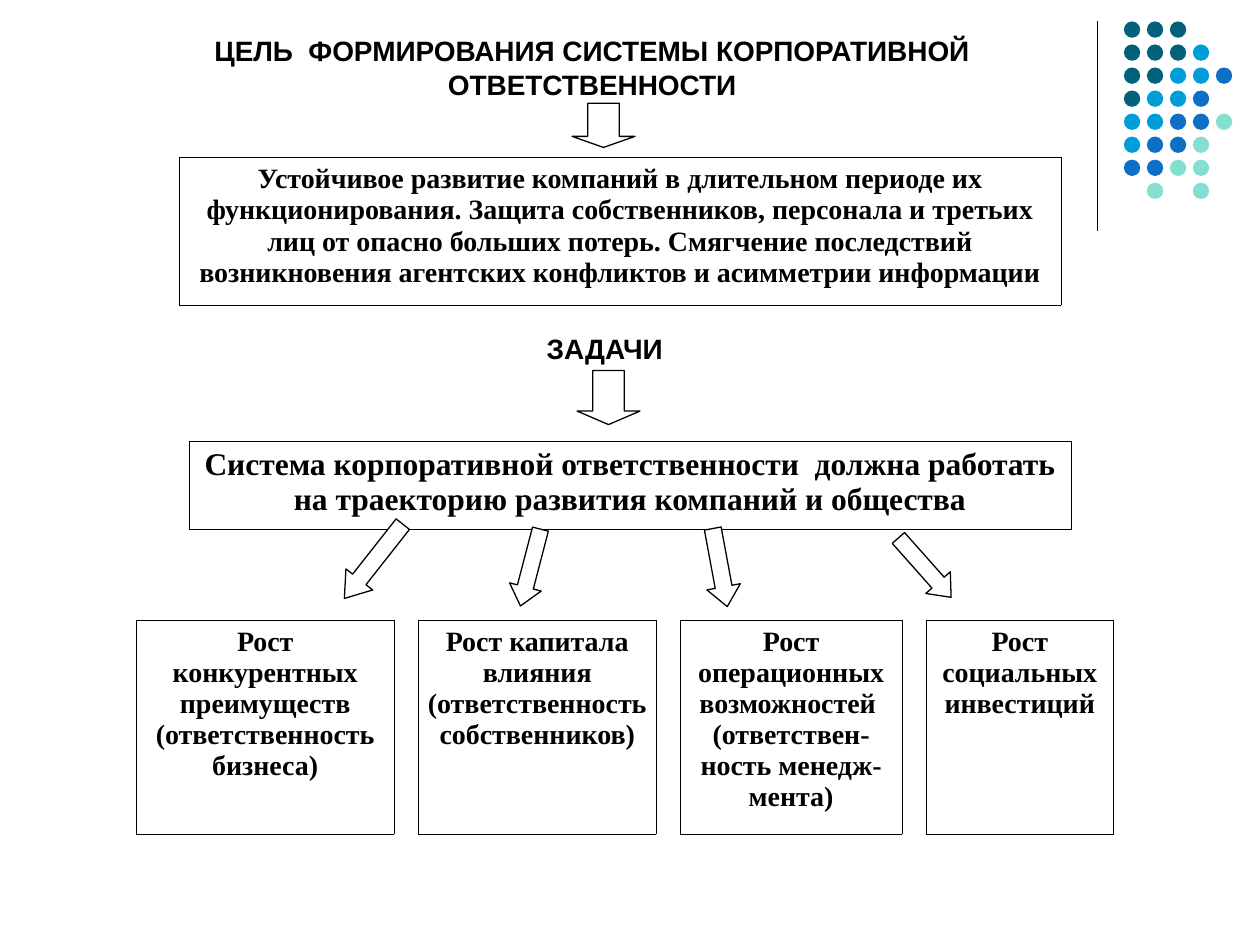
from dataclasses import dataclass

from lxml import etree
from pptx import Presentation
from pptx.dml.color import RGBColor
from pptx.enum import shapes, text
from pptx.oxml.ns import qn
from pptx.util import Inches, Pt


@dataclass(frozen=True)
class Theme:
    ink: str = "000000"
    paper: str = "FFFFFF"
    dots: tuple = ("04617B", "009DD9", "0F6FC6", "85DFD0")
    heading_font: str = "Arial"
    body_font: str = "Times New Roman"
    body: float = 16
    lead: float = 18
    line: float = 0.75
    border: float = 0.45


THEME = Theme()

# Each digit is an index into Theme.dots; a blank leaves the place empty.
DOT_ROWS = ("000", "0001", "00112", "0112", "11223", "1223", "2233", " 3 3")

GOAL = ("Устойчивое развитие компаний в длительном периоде их функционирования. "
        "Защита собственников, персонала и третьих лиц от опасно больших потерь. "
        "Смягчение последствий возникновения агентских конфликтов и асимметрии информации")
SYSTEM = ("Система корпоративной ответственности  должна работать "
          "на траекторию развития компаний и общества")
TASKS = (
    ("Рост конкурентных преимуществ (ответственность бизнеса)", 2.05),
    ("Рост капитала влияния (ответственность собственников)", 1.89),
    ("Рост операционных возможностей  (ответствен-ность менедж-мента)", 1.76),
    ("Рост социальных инвестиций", 1.49),
)
TASK_GAP = 0.19

# Box, rotation in degrees, head length relative to the arrow's width
ARROWS = (
    ((4.54, 0.82, 0.5, 0.35), 0, 0.25),
    ((4.58, 2.94, 0.5, 0.43), 0, 0.25),
    ((2.83, 4.08, 0.27, 0.75), 38.2, 0.71),
    ((4.08, 4.19, 0.26, 0.63), 14.6, 0.6),
    ((5.58, 4.19, 0.27, 0.63), 349.5, 0.59),
    ((7.21, 4.19, 0.26, 0.63), 318.4, 0.6),
)


def rgb(value):
    return RGBColor.from_string(value)


def inches(box):
    return [Inches(v) for v in box]


def style_paragraph(p, font, size, align):
    p.alignment = align
    p.font.name = font
    p.font.size = Pt(size)
    p.font.bold = True
    p.font.color.rgb = rgb(THEME.ink)


def add_dots(slide, box):
    """Fill the box with the corner grid of coloured dots."""
    left, top, width, height = box
    size = 0.13
    step_x = (width - size) / (max(map(len, DOT_ROWS)) - 1)
    step_y = (height - size) / (len(DOT_ROWS) - 1)
    for row, marks in enumerate(DOT_ROWS):
        for col, mark in enumerate(marks):
            if mark == " ":
                continue
            place = (left + col * step_x, top + row * step_y, size, size)
            sp = slide.shapes.add_shape(shapes.MSO_SHAPE.OVAL, *inches(place))
            sp.shadow.inherit = False
            sp.fill.solid()
            sp.fill.fore_color.rgb = rgb(THEME.dots[int(mark)])
            sp.line.fill.background()


def add_rule(slide, x, top, bottom):
    line = slide.shapes.add_connector(
        shapes.MSO_CONNECTOR.STRAIGHT, *inches((x, top, x, bottom)))
    line.line.color.rgb = rgb(THEME.ink)
    line.line.width = Pt(THEME.line)
    etree.SubElement(line._element.spPr, qn("a:effectLst"))


def fill_heading(sp, box, words):
    sp.left, sp.top, sp.width, sp.height = inches(box)
    tf = sp.text_frame
    tf.word_wrap = True
    tf.auto_size = text.MSO_AUTO_SIZE.NONE
    tf.vertical_anchor = text.MSO_ANCHOR.MIDDLE
    tf.text = words
    style_paragraph(tf.paragraphs[0], THEME.heading_font, THEME.body, text.PP_ALIGN.CENTER)


def add_arrow(slide, box, rotation, head):
    sp = slide.shapes.add_shape(shapes.MSO_SHAPE.DOWN_ARROW, *inches(box))
    sp.shadow.inherit = False
    sp.adjustments[0] = 0.5
    sp.adjustments[1] = head
    sp.rotation = rotation
    sp.fill.solid()
    sp.fill.fore_color.rgb = rgb(THEME.paper)
    sp.line.color.rgb = rgb(THEME.ink)
    sp.line.width = Pt(THEME.line)


def draw_borders(cell, sides):
    tc_pr = cell._tc.get_or_add_tcPr()
    for side in sides:
        ln = etree.SubElement(tc_pr, qn(f"a:ln{side}"), w=str(Pt(THEME.border)))
        fill = etree.SubElement(ln, qn("a:solidFill"))
        etree.SubElement(fill, qn("a:srgbClr"), val=THEME.ink)


def add_boxes(slide, left, top, height, columns, size):
    """Add a one-row table from (words, width) pairs; empty words make a gap."""
    total = sum(width for _, width in columns)
    table = slide.shapes.add_table(
        1, len(columns), *inches((left, top, total, height))).table
    table.first_row = table.horz_banding = False
    table.rows[0].height = Inches(height)
    for i, (words, width) in enumerate(columns):
        table.columns[i].width = Inches(width)
        cell = table.cell(0, i)
        cell.margin_left = cell.margin_right = Inches(0.07 if words else 0)
        draw_borders(cell, "LRTB" if words else "LR")
        cell.fill.background()
        if words:
            cell.text = words
            style_paragraph(cell.text_frame.paragraphs[0], THEME.body_font, size,
                            text.PP_ALIGN.CENTER)


def build_goal_slide(prs):
    slide = prs.slides.add_slide(prs.slide_layouts[5])
    add_rule(slide, 8.71, 0.17, 1.83)
    add_dots(slide, (8.92, 0.17, 0.86, 1.41))
    fill_heading(slide.shapes.title, (1.49, 0.22, 6.42, 0.63),
                 "ЦЕЛЬ  ФОРМИРОВАНИЯ СИСТЕМЫ КОРПОРАТИВНОЙ ОТВЕТСТВЕННОСТИ")
    fill_heading(slide.shapes.add_textbox(0, 0, 0, 0), (4, 2.58, 1.6, 0.37), "ЗАДАЧИ")
    add_boxes(slide, 1.42, 1.25, 1.17, [(GOAL, 7)], THEME.body)
    add_boxes(slide, 1.5, 3.5, 0.7, [(SYSTEM, 7)], THEME.lead)

    columns = [TASKS[0]]
    for task in TASKS[1:]:
        columns += [("", TASK_GAP), task]
    add_boxes(slide, 1.08, 4.92, 1.7, columns, THEME.body)

    for box, rotation, head in ARROWS:
        add_arrow(slide, box, rotation, head)


def main():
    prs = Presentation()
    prs.slide_width, prs.slide_height = Inches(10), Inches(7.5)
    build_goal_slide(prs)
    prs.save("out.pptx")


if __name__ == "__main__":
    main()
